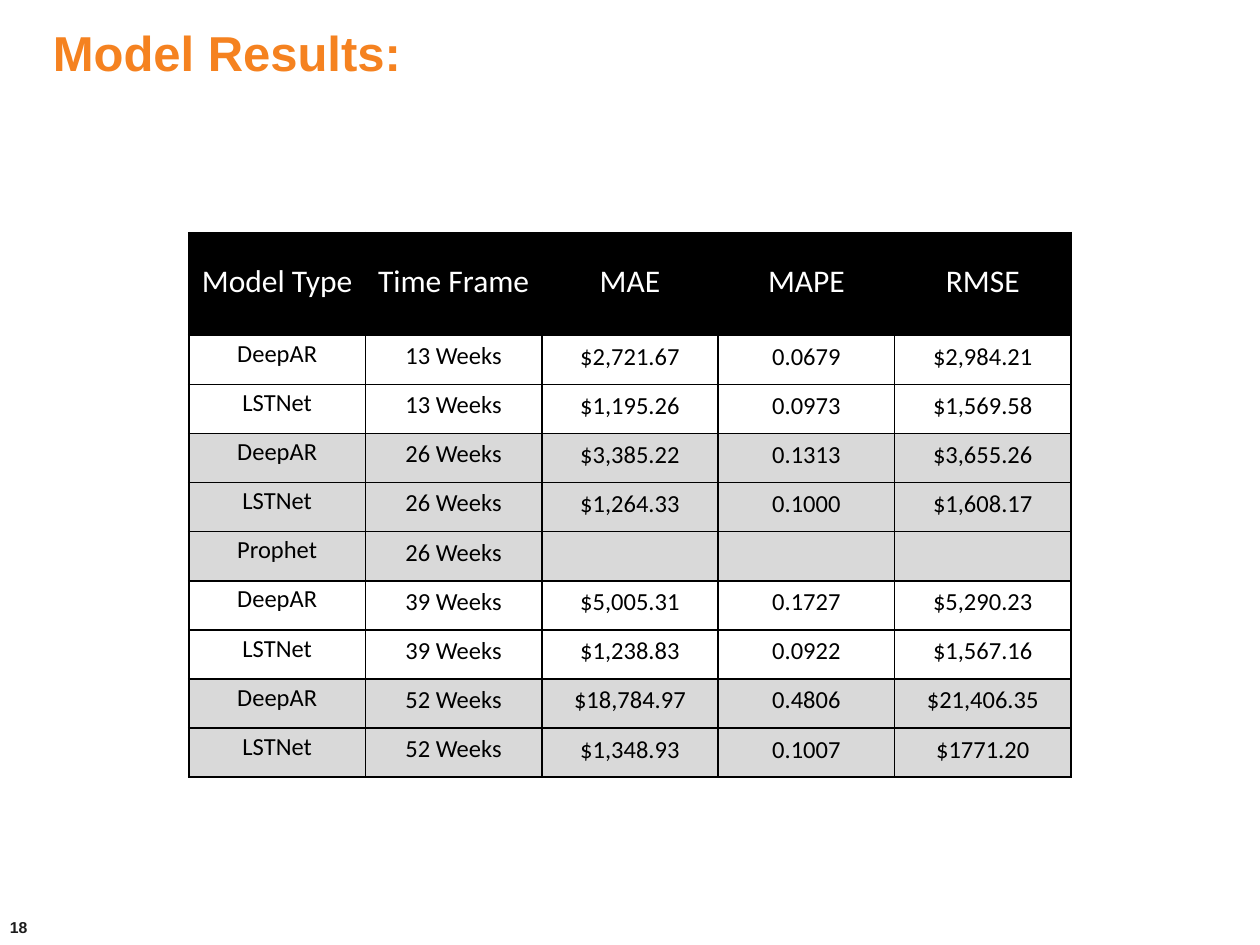
from pptx import Presentation
from pptx.dml.color import RGBColor
from pptx.enum.text import MSO_ANCHOR, PP_ALIGN
from pptx.oxml import parse_xml
from pptx.oxml.ns import nsdecls
from pptx.util import Inches, Pt

LEFT, CENTER = PP_ALIGN.LEFT, PP_ALIGN.CENTER
MIDDLE, BOTTOM = MSO_ANCHOR.MIDDLE, MSO_ANCHOR.BOTTOM

HEADS = ["Model Type", "Time Frame", "MAE", "MAPE", "RMSE"]
RESULTS = [
    ["DeepAR", "13 Weeks", "$2,721.67", "0.0679", "$2,984.21"],
    ["LSTNet", "13 Weeks", "$1,195.26", "0.0973", "$1,569.58"],
    ["DeepAR", "26 Weeks", "$3,385.22", "0.1313", "$3,655.26"],
    ["LSTNet", "26 Weeks", "$1,264.33", "0.1000", "$1,608.17"],
    ["Prophet", "26 Weeks", "", "", ""],
    ["DeepAR", "39 Weeks", "$5,005.31", "0.1727", "$5,290.23"],
    ["LSTNet", "39 Weeks", "$1,238.83", "0.0922", "$1,567.16"],
    ["DeepAR", "52 Weeks", "$18,784.97", "0.4806", "$21,406.35"],
    ["LSTNet", "52 Weeks", "$1,348.93", "0.1007", "$1771.20"],
]
SHADED = ("26 Weeks", "52 Weeks")


def color(value):
    return RGBColor.from_string(value)


class Deck:
    black, white, gray = "000000", "FFFFFF", "D9D9D9"
    orange, ink = "F58220", "1C1C1C"
    head_font, body_font = "Arial", "Calibri"

    def __init__(self):
        self.file = Presentation()
        self.file.slide_width = Inches(10)
        self.file.slide_height = Inches(7.5)
        self.slide = self.file.slides.add_slide(self.file.slide_layouts[5])

    def style(self, frame, text, size, tint, font, bold=False, align=LEFT):
        frame.text = text
        frame.word_wrap = True
        para = frame.paragraphs[0]
        para.alignment = align
        for run in para.runs:
            run.font.name = font
            run.font.size = Pt(size)
            run.font.bold = bold
            run.font.color.rgb = color(tint)
        return para

    def title(self, text, box):
        shape = self.slide.shapes.title
        shape.left, shape.top, shape.width, shape.height = map(Inches, box)
        shape.text_frame.vertical_anchor = MIDDLE
        self.style(shape.text_frame, text, 28, self.orange, self.head_font, True)

    def label(self, text, box):
        frame = self.slide.shapes.add_textbox(*map(Inches, box)).text_frame
        frame.vertical_anchor = MIDDLE
        self.style(frame, text, 9, self.ink, self.head_font, True)

    def border(self, cell, widths):
        props = cell._tc.get_or_add_tcPr()
        for spot, (side, width) in enumerate(zip("LRTB", widths)):
            props.insert(spot, parse_xml(
                f'<a:ln{side} {nsdecls("a")} w="{Pt(width)}"><a:solidFill>'
                f'<a:srgbClr val="{self.black}"/></a:solidFill></a:ln{side}>'))

    def cell(self, cell, text, size, tint, fill, anchor, space):
        cell.margin_left = cell.margin_right = cell.margin_top = Inches(0.01)
        cell.margin_bottom = Inches(0.1)
        cell.vertical_anchor = anchor
        cell.fill.solid()
        cell.fill.fore_color.rgb = color(fill)
        para = self.style(cell.text_frame, text, size, tint, self.body_font,
                          align=CENTER)
        para.line_spacing = space
        if not text:
            para._p.get_or_add_endParaRPr().set("sz", str(size * 100))

    def table(self, heads, rows, left, top, width, head_high, row_high):
        lines = [heads] + rows
        total = head_high + row_high * len(rows)
        grid = self.slide.shapes.add_table(
            len(lines), len(heads), Inches(left), Inches(top),
            Inches(width * len(heads)), Inches(total)).table
        for col in grid.columns:
            col.width = Inches(width)
        for r, line in enumerate(lines):
            grid.rows[r].height = Inches(row_high if r else head_high)
            above = 1.5 if r == 0 or lines[r - 1][0] == "Prophet" else 1
            below = 1.5 if line[0] == "Prophet" else 1
            for c, text in enumerate(line):
                cell = grid.cell(r, c)
                if r == 0:
                    self.cell(cell, text, 18, self.white, self.black, MIDDLE, 1.15)
                else:
                    fill = self.gray if line[1] in SHADED else self.white
                    self.cell(cell, text, 14, self.black, fill,
                              MIDDLE if c < 2 else BOTTOM, 1.15 if c == 1 else 1.0)
                self.border(cell, (1 if c else 1.5, 1, above, below))

    def save(self):
        self.file.save("out.pptx")


def main():
    deck = Deck()
    deck.title("Model Results:", (0.32, 0, 9, 0.83))
    deck.label("18", (-0.02, 7.16, 2.33, 0.4))
    deck.table(HEADS, RESULTS, 1.5, 1.85, 1.4, 0.81, 0.39)
    deck.save()


if __name__ == "__main__":
    main()
